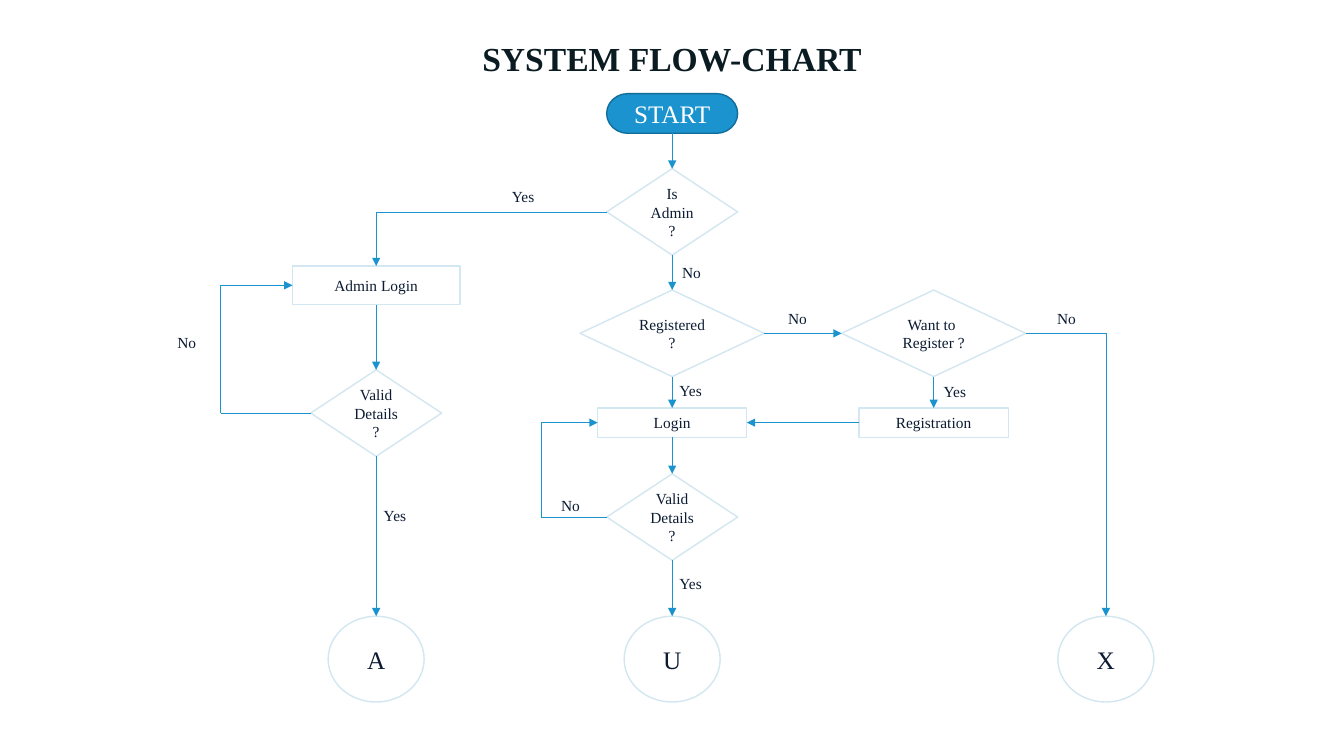
from itertools import pairwise

from lxml import etree
from pptx import Presentation
from pptx.dml.color import RGBColor
from pptx.enum.shapes import MSO_CONNECTOR, MSO_SHAPE
from pptx.enum.text import MSO_ANCHOR, MSO_AUTO_SIZE, PP_ALIGN
from pptx.oxml.ns import qn
from pptx.util import Cm, Pt

STRAIGHT = MSO_CONNECTOR.STRAIGHT
TERMINATOR = MSO_SHAPE.FLOWCHART_TERMINATOR
DIAMOND = MSO_SHAPE.DIAMOND
RECTANGLE = MSO_SHAPE.RECTANGLE
ELLIPSE = MSO_SHAPE.OVAL
MIDDLE = MSO_ANCHOR.MIDDLE
FIT_SHAPE = MSO_AUTO_SIZE.SHAPE_TO_FIT_TEXT
CENTER, LEFT_ALIGNED = PP_ALIGN.CENTER, PP_ALIGN.LEFT
TOP, LEFT, BOTTOM, RIGHT = range(4)

WHITE = RGBColor(0xFF, 0xFF, 0xFF)
TITLE_INK = RGBColor(0x0B, 0x1B, 0x22)
INK = RGBColor(0x0C, 0x1B, 0x32)
BLUE = RGBColor(0x1A, 0x93, 0xCE)
DARK_BLUE = RGBColor(0x13, 0x6D, 0x98)
PALE_BLUE = RGBColor(0xD2, 0xE7, 0xF1)

SLIDE_WIDTH, SLIDE_HEIGHT = 33.87, 19.05
ADMIN_X, USER_X, REGISTER_X, EXIT_X = 9.48, 16.94, 23.53, 27.87
ADMIN_RETRY_X, USER_RETRY_X = 5.56, 13.64
START_Y, IS_ADMIN_Y, ADMIN_LOGIN_Y, REGISTERED_Y = 2.86, 5.34, 7.19, 8.4
ADMIN_VALID_Y, LOGIN_Y, USER_VALID_Y, END_Y = 10.41, 10.65, 13.03, 16.61
DECISION, WIDE_DECISION = (3.3, 2.18), (4.64, 2.18)
START, ADMIN_STEP, STEP, END = (3.3, 1), (4.22, 0.97), (3.76, 0.74), (2.42, 2.16)
LABEL_WIDTHS = {"Yes": 1.12, "No": 0.99}
LABELS = [
    ("Yes", 12.65, 4.6), ("No", 16.94, 6.5), ("No", 19.61, 7.67),
    ("No", 26.39, 7.67), ("No", 4.22, 8.26), ("Yes", 16.87, 9.47),
    ("Yes", 23.53, 9.5), ("No", 13.89, 12.37), ("Yes", 9.42, 12.62),
    ("Yes", 16.87, 14.33),
]


def write(frame, text, font_size=11, color=INK, bold=False, align=CENTER):
    frame.text = text
    for paragraph in frame.paragraphs:
        paragraph.alignment = align
        for run in paragraph.runs:
            font = run.font
            font.name = "Times New Roman"
            font.size = Pt(font_size)
            font.bold = bold
            font.color.rgb = color


def side_point(shape, side):
    across = {LEFT: 0, RIGHT: shape.width}.get(side, shape.width // 2)
    down = {TOP: 0, BOTTOM: shape.height}.get(side, shape.height // 2)
    return shape.left + across, shape.top + down


class FlowChart:
    """Draws flow-chart elements in one style on the current slide."""

    def __init__(self, slide):
        self.slide = slide

    def title(self, text):
        box = self.slide.shapes.add_textbox(
            0, Cm(0.84), Cm(SLIDE_WIDTH), Cm(1.28))
        box.text_frame.word_wrap = True
        write(box.text_frame, text, font_size=24, color=TITLE_INK, bold=True)

    def node(self, kind, text, center_x, center_y, size,
             fill=WHITE, outline=PALE_BLUE, **text_format):
        width, height = size
        shape = self.slide.shapes.add_shape(
            kind, Cm(center_x - width / 2), Cm(center_y - height / 2),
            Cm(width), Cm(height))
        shape.shadow.inherit = False
        shape.fill.solid()
        shape.fill.fore_color.rgb = fill
        shape.line.color.rgb = outline
        shape.line.width = Pt(1)
        shape.text_frame.word_wrap = True
        shape.text_frame.vertical_anchor = MIDDLE
        write(shape.text_frame, text, **text_format)
        return shape

    def label(self, text, left, top):
        box = self.slide.shapes.add_textbox(
            Cm(left), Cm(top), Cm(LABEL_WIDTHS[text]), Cm(0.74))
        box.text_frame.word_wrap = False
        box.text_frame.auto_size = FIT_SHAPE
        write(box.text_frame, text, align=LEFT_ALIGNED)

    def flow(self, source, source_side, target, target_side, *corners):
        points = [side_point(source, source_side),
                  *((Cm(x), Cm(y)) for x, y in corners),
                  side_point(target, target_side)]
        segments = [self.segment(*begin, *end)
                    for begin, end in pairwise(points)]
        segments[0].begin_connect(source, source_side)
        segments[-1].end_connect(target, target_side)
        outline = segments[-1].line._get_or_add_ln()
        etree.SubElement(outline, qn("a:tailEnd"), type="triangle")

    def segment(self, begin_x, begin_y, end_x, end_y):
        connector = self.slide.shapes.add_connector(
            STRAIGHT, begin_x, begin_y, end_x, end_y)
        connector.line.color.rgb = BLUE
        connector.line.width = Pt(0.5)
        etree.SubElement(connector._element.spPr, qn("a:effectLst"))
        return connector


def main():
    presentation = Presentation()
    presentation.slide_width = Cm(SLIDE_WIDTH)
    presentation.slide_height = Cm(SLIDE_HEIGHT)
    slide = presentation.slides.add_slide(presentation.slide_layouts[6])
    chart = FlowChart(slide)
    node, flow = chart.node, chart.flow

    chart.title("SYSTEM FLOW-CHART")
    start = node(TERMINATOR, "START", USER_X, START_Y, START, fill=BLUE,
                 outline=DARK_BLUE, font_size=18, color=WHITE)
    is_admin = node(DIAMOND, "Is Admin ?", USER_X, IS_ADMIN_Y, DECISION)
    admin_login = node(RECTANGLE, "Admin Login", ADMIN_X, ADMIN_LOGIN_Y, ADMIN_STEP)
    registered = node(DIAMOND, "Registered ?", USER_X, REGISTERED_Y, WIDE_DECISION)
    register = node(DIAMOND, "Want to \nRegister ?", REGISTER_X, REGISTERED_Y,
                    WIDE_DECISION)
    login = node(RECTANGLE, "Login", USER_X, LOGIN_Y, STEP)
    registration = node(RECTANGLE, "Registration", REGISTER_X, LOGIN_Y, STEP)
    admin_valid, user_valid = [
        node(DIAMOND, "Valid Details ?", x, y, DECISION)
        for x, y in [(ADMIN_X, ADMIN_VALID_Y), (USER_X, USER_VALID_Y)]]
    admin_end, user_end, exit_end = [
        node(ELLIPSE, letter, x, END_Y, END, font_size=18)
        for letter, x in [("A", ADMIN_X), ("U", USER_X), ("X", EXIT_X)]]

    downward = [(start, is_admin), (is_admin, registered), (registered, login),
                (login, user_valid), (user_valid, user_end),
                (admin_login, admin_valid), (admin_valid, admin_end),
                (register, registration)]
    for source, target in downward:
        flow(source, BOTTOM, target, TOP)
    flow(registered, RIGHT, register, LEFT)
    flow(registration, LEFT, login, RIGHT)
    flow(is_admin, LEFT, admin_login, TOP, (ADMIN_X, IS_ADMIN_Y))
    flow(register, RIGHT, exit_end, TOP, (EXIT_X, REGISTERED_Y))
    flow(admin_valid, LEFT, admin_login, LEFT,
         (ADMIN_RETRY_X, ADMIN_VALID_Y), (ADMIN_RETRY_X, ADMIN_LOGIN_Y))
    flow(user_valid, LEFT, login, LEFT,
         (USER_RETRY_X, USER_VALID_Y), (USER_RETRY_X, LOGIN_Y))

    for text, left, top in LABELS:
        chart.label(text, left, top)
    presentation.save("out.pptx")


if __name__ == "__main__":
    main()
